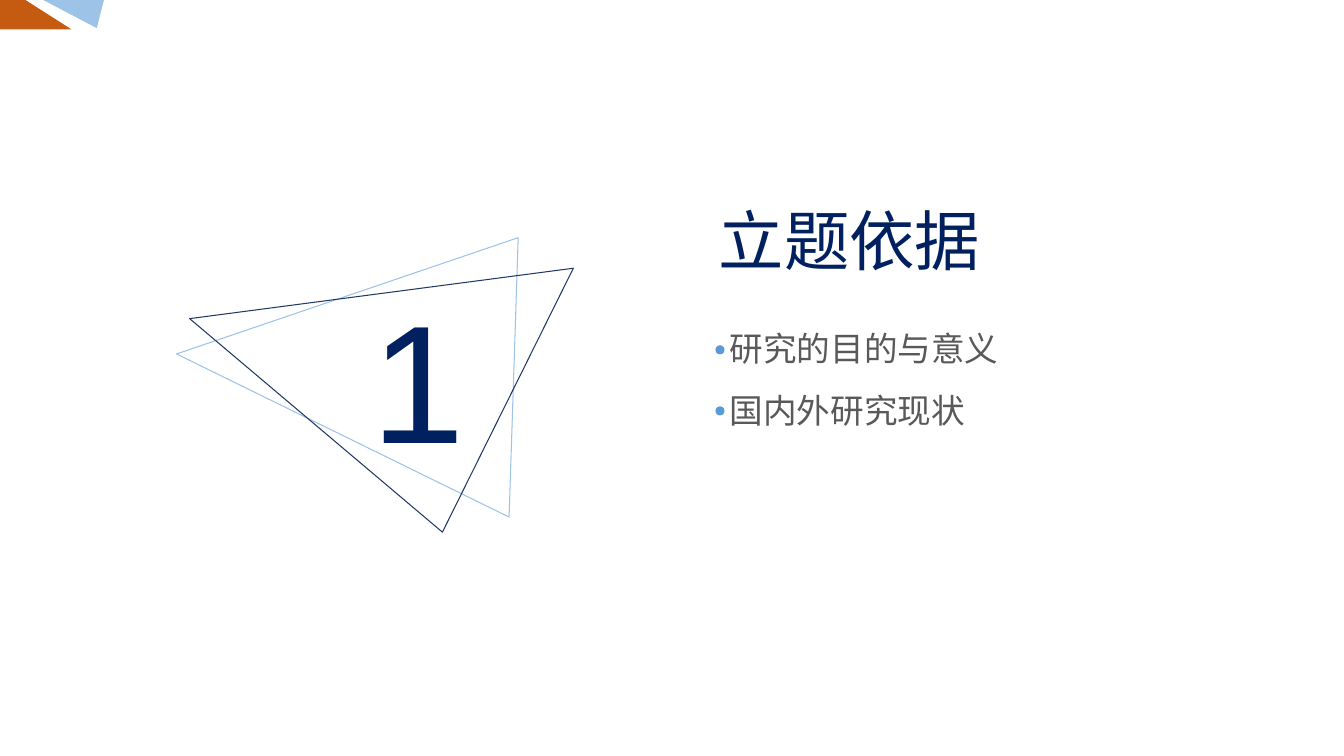
from pptx import Presentation
from pptx.dml.color import RGBColor
from pptx.enum.shapes import MSO_SHAPE as Shape
from pptx.enum.text import MSO_AUTO_SIZE as AutoSize, PP_ALIGN as Align
from pptx.util import Cm, Pt

NAVY = RGBColor(0x00, 0x20, 0x60)
DARK_BLUE = RGBColor(0x20, 0x38, 0x64)
LIGHT_BLUE = RGBColor(0x9D, 0xC3, 0xE6)
BULLET_BLUE = RGBColor(0x5B, 0x9B, 0xD5)
ORANGE = RGBColor(0xC5, 0x5A, 0x11)
GREY = RGBColor(0x59, 0x59, 0x59)

FONT = "Arial"


def add_label(shapes, text, box, size, color, align=Align.LEFT):
    """Add one line of text in a box of (left, top, width, height) in cm."""
    label = shapes.add_textbox(*map(Cm, box))
    frame = label.text_frame
    frame.word_wrap = False
    frame.auto_size = AutoSize.SHAPE_TO_FIT_TEXT
    paragraph = frame.paragraphs[0]
    paragraph.alignment = align
    run = paragraph.add_run()
    run.text = text
    run.font.name = FONT
    run.font.size = Pt(size)
    run.font.color.rgb = color


def add_polygon(shapes, left, top, corners, fill=None, line=None):
    """Add a closed outline whose corners are in cm from (left, top)."""
    points = [(Cm(left + x), Cm(top + y)) for x, y in corners]
    builder = shapes.build_freeform(*points[0], scale=1.0)
    builder.add_line_segments(points[1:], close=True)
    polygon = builder.convert_to_shape()
    polygon.shadow.inherit = False
    if fill is None:
        polygon.fill.background()
    else:
        polygon.fill.solid()
        polygon.fill.fore_color.rgb = fill
    if line is None:
        polygon.line.fill.background()
    else:
        polygon.line.color.rgb = line
        polygon.line.width = Pt(0.75)


def add_corner_ornament(slide, left, top):
    shapes = slide.shapes.add_group_shape().shapes
    add_polygon(shapes, left, top, [(1.09, 0), (2.44, 0.71), (2.62, 0)],
                fill=LIGHT_BLUE)
    add_polygon(shapes, left, top,
                [(1.8, 0.74), (0.64, 0), (0, 0), (0, 0.74)], fill=ORANGE)


def add_number_emblem(slide, left, top, number):
    """Add the section number inside two crossed triangles."""
    shapes = slide.shapes.add_group_shape().shapes
    add_polygon(shapes, left, top, [(8.61, 0), (0, 2.93), (8.38, 7.04)],
                line=LIGHT_BLUE)
    add_polygon(shapes, left, top, [(0.33, 2.04), (10, 0.77), (6.7, 7.42)],
                line=DARK_BLUE)
    add_label(shapes, number, (left + 4.67, top + 0.84, 2.72, 5.38), 120, NAVY)


def add_topic(slide, left, top, text, width):
    """Add one topic with its round bullet."""
    dot_size = 0.23
    add_label(slide.shapes, text, (left + 0.11, top, width, 1.27), 24, GREY)
    dot = slide.shapes.add_shape(Shape.OVAL, Cm(left), Cm(top + 0.55),
                                 Cm(dot_size), Cm(dot_size))
    dot.shadow.inherit = False
    dot.fill.solid()
    dot.fill.fore_color.rgb = BULLET_BLUE
    dot.line.fill.background()


def add_section_text(slide, left, top, title, topics):
    add_label(slide.shapes, title, (left, top, 7.16, 2.26), 46.7, NAVY,
              Align.CENTER)
    for row, (topic, width) in enumerate(topics):
        add_topic(slide, left + 0.2, top + 3.22 + row * 1.54, topic, width)


def main():
    deck = Presentation()
    deck.slide_width = Cm(33.87)
    deck.slide_height = Cm(19.05)
    slide = deck.slides.add_slide(deck.slide_layouts[6])
    add_number_emblem(slide, 4.45, 5.99, "1")
    add_corner_ornament(slide, 0, 0)
    add_section_text(slide, 17.83, 4.93, "立题依据",
                     [("研究的目的与意义", 7.34), ("国内外研究现状", 6.5)])
    deck.save("out.pptx")


if __name__ == "__main__":
    main()
